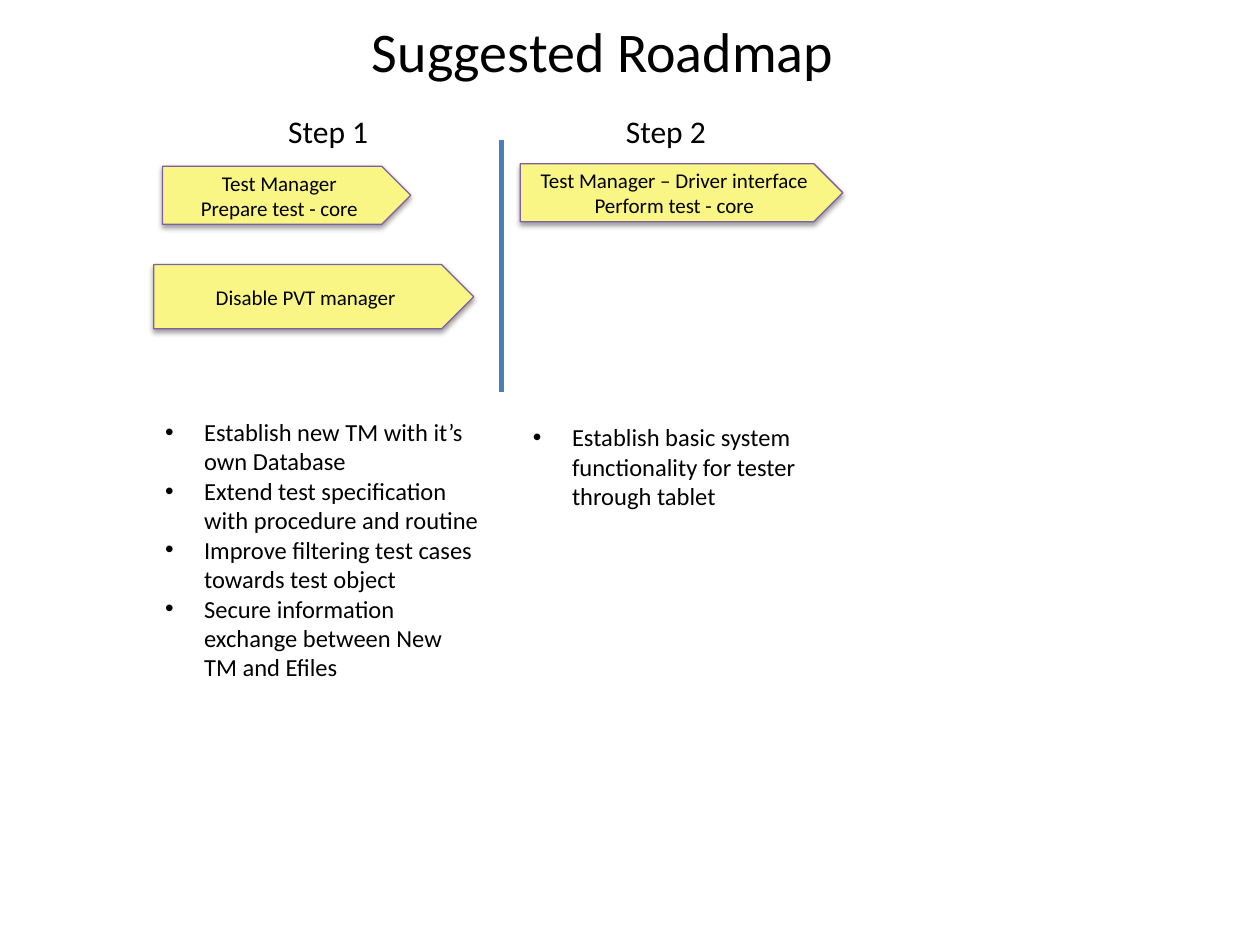
from lxml import etree
from pptx import Presentation
from pptx import util as u
from pptx.dml import color
from pptx.enum import shapes, text
from pptx.oxml import ns


def rgb(value):
    return color.RGBColor.from_string(value)


def child(parent, tag, **attributes):
    element = etree.SubElement(parent, ns.qn(tag))
    for name, value in attributes.items():
        element.set(name, str(value))
    return element


class RoadmapSlide:
    font = "Calibri"
    ink = "000000"
    arrow_fill = "F9F686"
    arrow_line = "7D60A0"
    divider_line = "4B7EBC"

    def __init__(self, slide):
        self.slide = slide

    def place(self, shape, box):
        shape.left, shape.top, shape.width, shape.height = map(u.Inches, box)

    def set_text(self, shape, lines, size, align, anchor, wrap=True):
        frame = shape.text_frame
        frame.text = "\n".join(lines)
        frame.word_wrap = wrap
        frame.auto_size = text.MSO_AUTO_SIZE.NONE
        frame.vertical_anchor = anchor
        for paragraph in frame.paragraphs:
            paragraph.alignment = align
            paragraph.space_before = u.Pt(0)
            for run in paragraph.runs:
                run.font.name = self.font
                run.font.size = u.Pt(size)
                run.font.color.rgb = rgb(self.ink)

    def title(self, box, wording):
        shape = self.slide.shapes.title
        self.place(shape, box)
        self.set_text(shape, [wording], 32, text.PP_ALIGN.CENTER, text.MSO_ANCHOR.MIDDLE)

    def heading(self, box, wording):
        shape = self.slide.shapes.add_textbox(*map(u.Inches, box))
        self.set_text(shape, [wording], 18, text.PP_ALIGN.CENTER, text.MSO_ANCHOR.TOP)

    def bullets(self, index, box, items):
        shape = self.slide.placeholders[index]
        self.place(shape, box)
        self.set_text(shape, items, 14, text.PP_ALIGN.LEFT, text.MSO_ANCHOR.TOP)
        indent = u.Inches(0.31)
        for paragraph in shape.text_frame.paragraphs:
            properties = paragraph._p.get_or_add_pPr()
            properties.set("marL", str(indent))
            properties.set("indent", str(-indent))

    def arrow(self, box, lines):
        shape = self.slide.shapes.add_shape(
            shapes.MSO_SHAPE.PENTAGON, *map(u.Inches, box))
        shape.fill.solid()
        shape.fill.fore_color.rgb = rgb(self.arrow_fill)
        shape.line.color.rgb = rgb(self.arrow_line)
        shape.line.width = u.Pt(0.75)
        self.set_text(shape, lines, 12, text.PP_ALIGN.CENTER, text.MSO_ANCHOR.MIDDLE, False)
        self.add_shadow(shape)

    def add_shadow(self, shape):
        shape.shadow.inherit = False
        effects = shape._element.spPr.find(ns.qn("a:effectLst"))
        shadow = child(effects, "a:outerShdw", blurRad=u.Pt(3.1), dist=u.Pt(1.6),
                       dir=90 * 60000, rotWithShape=0)
        child(child(shadow, "a:srgbClr", val=self.ink), "a:alpha", val=38000)

    def divider(self, x, top, bottom):
        line = self.slide.shapes.add_connector(
            shapes.MSO_CONNECTOR.STRAIGHT, *map(u.Inches, (x, top, x, bottom)))
        line.line.color.rgb = rgb(self.divider_line)
        line.line.width = u.Pt(2.5)
        child(line._element.spPr, "a:effectLst")


def main():
    presentation = Presentation()
    presentation.slide_width = u.Inches(10)
    presentation.slide_height = u.Inches(7.5)
    two_content = presentation.slide_layouts[3]
    roadmap = RoadmapSlide(presentation.slides.add_slide(two_content))

    roadmap.title((0.41, 0.21, 8.75, 0.38), "Suggested Roadmap")
    roadmap.arrow((1.22, 2.1, 2.54, 0.51), ["Disable PVT manager"])
    roadmap.arrow((1.29, 1.32, 1.97, 0.46), ["Test Manager", "Prepare test - core"])
    roadmap.arrow((4.13, 1.3, 2.56, 0.46),
                  ["Test Manager – Driver interface", "Perform test - core"])
    roadmap.heading((1.32, 0.84, 2.57, 0.4), "Step 1")
    roadmap.divider(3.98, 1.11, 3.11)
    roadmap.heading((4, 0.84, 2.57, 0.4), "Step 2")
    roadmap.bullets(1, (1.21, 3.26, 2.69, 3.05), [
        "Establish new TM with it’s own Database",
        "Extend test specification with procedure and routine",
        "Improve filtering test cases towards test object",
        "Secure information exchange between New TM and Efiles",
    ])
    roadmap.bullets(2, (4.13, 3.3, 2.6, 0.81), [
        "Establish basic system functionality for tester through tablet",
    ])
    presentation.save("out.pptx")


if __name__ == "__main__":
    main()
